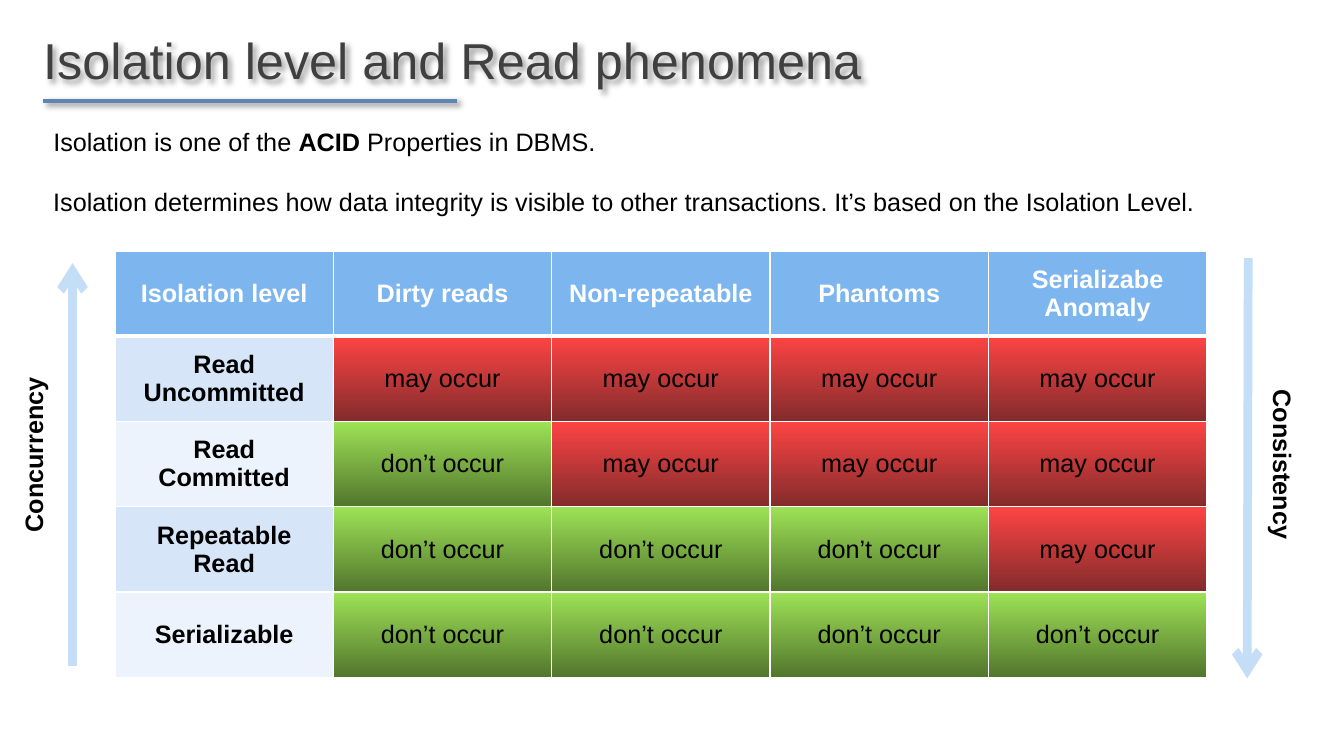
from lxml.etree import SubElement
from pptx import Presentation
from pptx.dml.color import RGBColor
from pptx.enum.shapes import MSO_CONNECTOR
from pptx.enum.text import MSO_ANCHOR, PP_ALIGN
from pptx.oxml import parse_xml
from pptx.oxml.ns import nsdecls, qn
from pptx.util import Inches, Pt

FONT = "Arial"
HEADER_FILL = "7DB6EF"
BAND_FILLS = ("D7E5F9", "ECF3FC")
OUTCOMES = {
    "may occur": ("FE4444", "832B2B"),
    "don’t occur": ("9EE256", "52762D"),
}
PHENOMENA = ["Dirty reads", "Non-repeatable", "Phantoms", "Serializabe Anomaly"]
# Each level with the number of phenomena it prevents, counted from the left
LEVELS = [("Read Uncommitted", 0), ("Read Committed", 1),
          ("Repeatable Read", 3), ("Serializable", 4)]


def rgb(value):
    return RGBColor.from_string(value)


def add_run(paragraph, text, size=18, color="000000", bold=False):
    run = paragraph.add_run()
    run.text = text
    run.font.name = FONT
    run.font.size = Pt(size)
    run.font.bold = bold
    run.font.color.rgb = rgb(color)


def add_text(slide, text, left, top, width, height=0.4, rotation=0, **style):
    """Add a text box; text between ** marks is bold."""
    box = slide.shapes.add_textbox(
        Inches(left), Inches(top), Inches(width), Inches(height))
    box.rotation = rotation
    box.text_frame.word_wrap = True
    paragraph = box.text_frame.paragraphs[0]
    for index, part in enumerate(text.split("**")):
        add_run(paragraph, part, **{"bold": index % 2 == 1, **style})
    return box


def set_effects(shape, shadow=False):
    """Give a shape an effect list, empty or with a soft shadow."""
    outer = (
        '<a:outerShdw blurRad="50800" dist="38100" dir="2700000" algn="tl" '
        'rotWithShape="0"><a:srgbClr val="000000"><a:alpha val="40000"/>'
        "</a:srgbClr></a:outerShdw>") if shadow else ""
    shape._element.spPr.append(parse_xml(
        f'<a:effectLst {nsdecls("a")}>{outer}</a:effectLst>'))


def add_line(slide, start, end, color, width, arrow=False, shadow=False):
    line = slide.shapes.add_connector(
        MSO_CONNECTOR.STRAIGHT, *(Inches(v) for v in (*start, *end)))
    line.line.color.rgb = rgb(color)
    line.line.width = Pt(width)
    if arrow:
        SubElement(line.line._get_or_add_ln(), qn("a:tailEnd"), type="arrow")
    set_effects(line, shadow)


def set_borders(cell, **widths):
    """Draw white borders, 1 pt wide unless a side is named."""
    properties = cell._tc.get_or_add_tcPr()
    for side in "LRTB":
        properties.append(parse_xml(
            f'<a:ln{side} {nsdecls("a")} w="{Pt(widths.get(side, 1))}">'
            '<a:solidFill><a:srgbClr val="FFFFFF"/></a:solidFill>'
            f"</a:ln{side}>"))


def fill_cell(cell, text, colors, **style):
    """Write centred text over one colour or a downward gradient."""
    if len(colors) == 1:
        cell.fill.solid()
        cell.fill.fore_color.rgb = rgb(colors[0])
    else:
        cell.fill.gradient()
        cell.fill.gradient_angle = 270
        for stop, color in zip(cell.fill.gradient_stops, colors):
            stop.color.rgb = rgb(color)
    cell.vertical_anchor = MSO_ANCHOR.MIDDLE
    paragraph = cell.text_frame.paragraphs[0]
    paragraph.alignment = PP_ALIGN.CENTER
    add_run(paragraph, text, **style)


def add_isolation_table(slide):
    columns, rows = len(PHENOMENA) + 1, len(LEVELS) + 1
    table = slide.shapes.add_table(
        rows, columns, Inches(1.14), Inches(2.49),
        Inches(10.83), Inches(4.23)).table
    # Header row
    for column, heading in enumerate(["Isolation level", *PHENOMENA]):
        cell = table.cell(0, column)
        set_borders(cell, B=3)
        fill_cell(cell, heading, [HEADER_FILL], color="FFFFFF", bold=True)
    # One row per isolation level
    for row, (level, prevented) in enumerate(LEVELS, start=1):
        for column in range(columns):
            cell = table.cell(row, column)
            set_borders(cell, T=3 if row == 1 else 1)
            if column == 0:
                fill_cell(cell, level, [BAND_FILLS[(row - 1) % 2]], bold=True)
            else:
                outcome = "don’t occur" if column <= prevented else "may occur"
                fill_cell(cell, outcome, OUTCOMES[outcome])


def main():
    deck = Presentation()
    deck.slide_width, deck.slide_height = Inches(13.33), Inches(7.5)
    slide = deck.slides.add_slide(deck.slide_layouts[6])

    # Title and underline
    title = add_text(slide, "Isolation level and Read phenomena",
                     0.33, 0.24, 8.58, 0.71, size=36, color="404040")
    set_effects(title, shadow=True)
    add_line(slide, (0.43, 1), (4.53, 1), "5C87B1", 3, shadow=True)

    # Introduction
    add_text(slide, "Isolation is one of the **ACID **Properties in DBMS.",
             0.43, 1.2, 6.52)
    add_text(slide, "Isolation determines how data integrity is visible to other "
             "transactions. It’s based on the Isolation Level.", 0.43, 1.8, 11.7)

    add_isolation_table(slide)

    # Opposing trends beside the table
    add_line(slide, (0.72, 6.61), (0.72, 2.61), "C4DEF8", 6.25, arrow=True)
    add_line(slide, (12.38, 2.56), (12.37, 6.73), "C4DEF8", 6.25, arrow=True)
    add_text(slide, "Concurrency", -0.62, 4.23, 1.9, rotation=270, bold=True)
    add_text(slide, "Consistency", 11.78, 4.51, 1.89, rotation=90, bold=True)

    deck.save("out.pptx")


if __name__ == "__main__":
    main()
